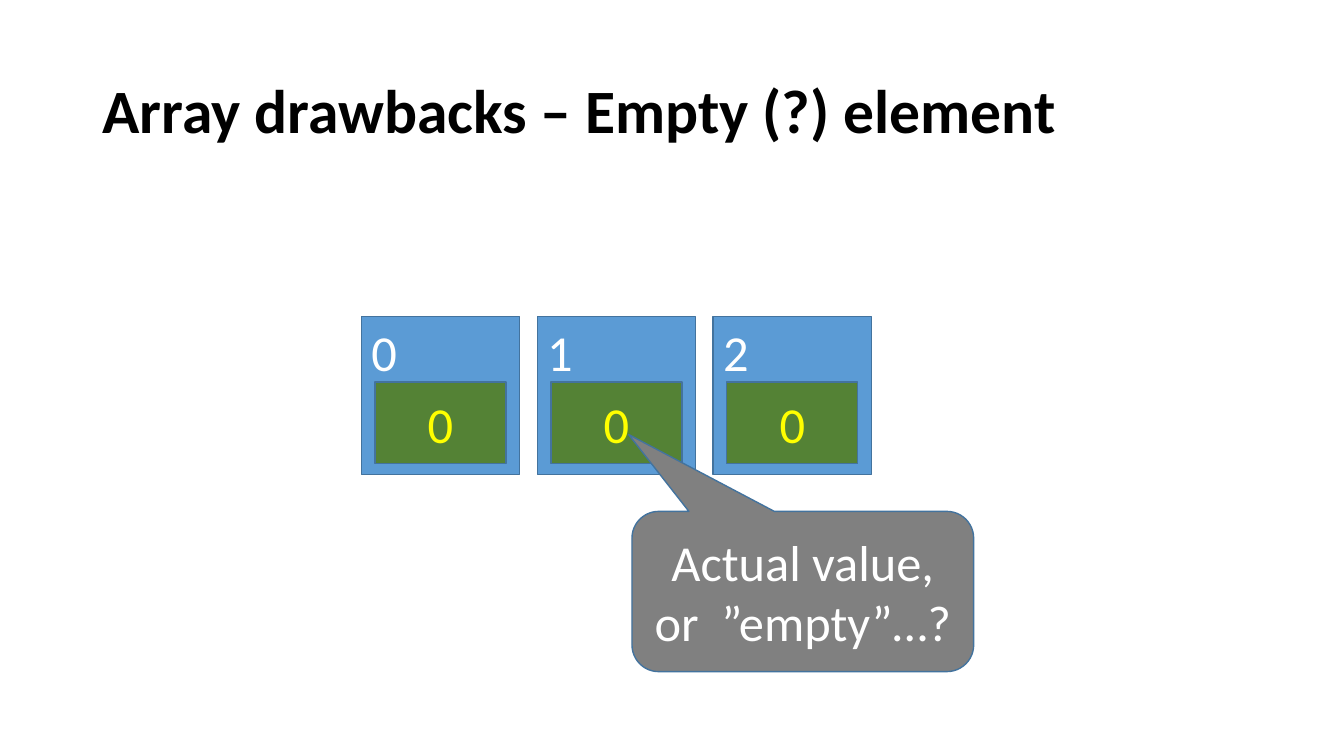
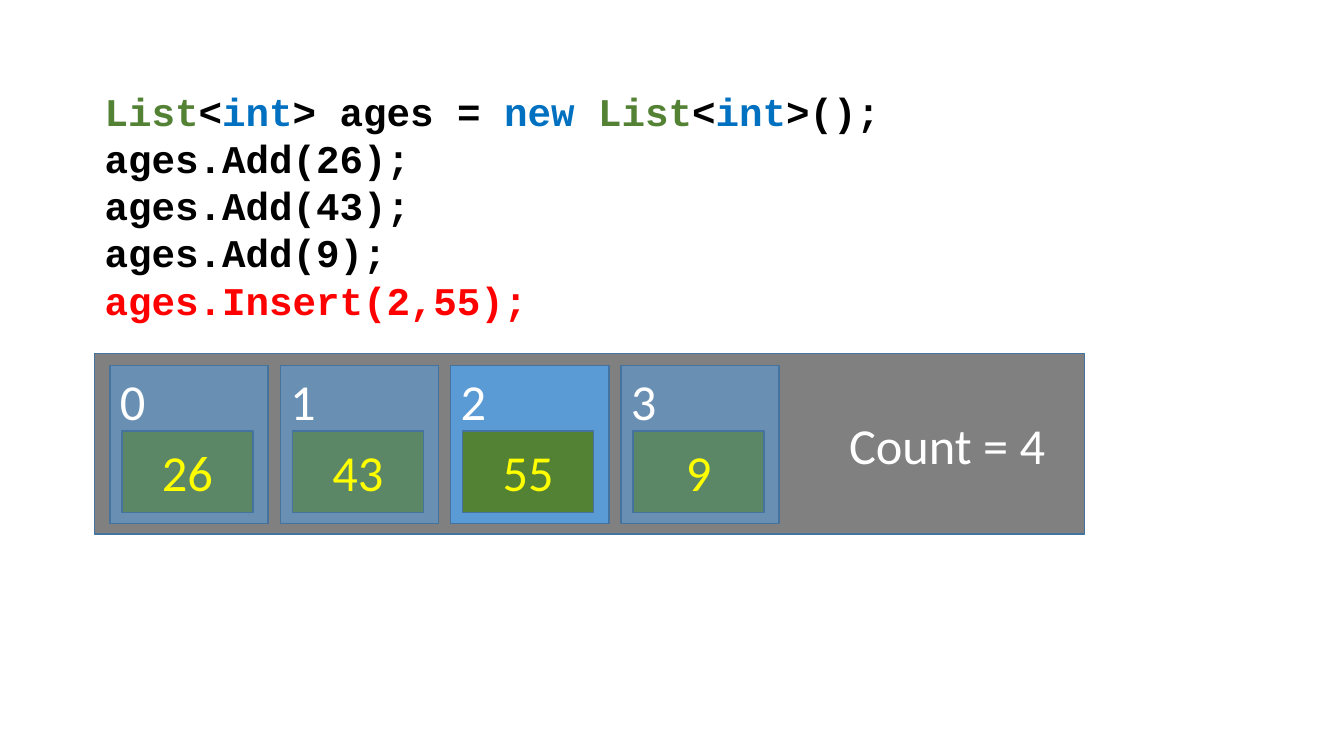
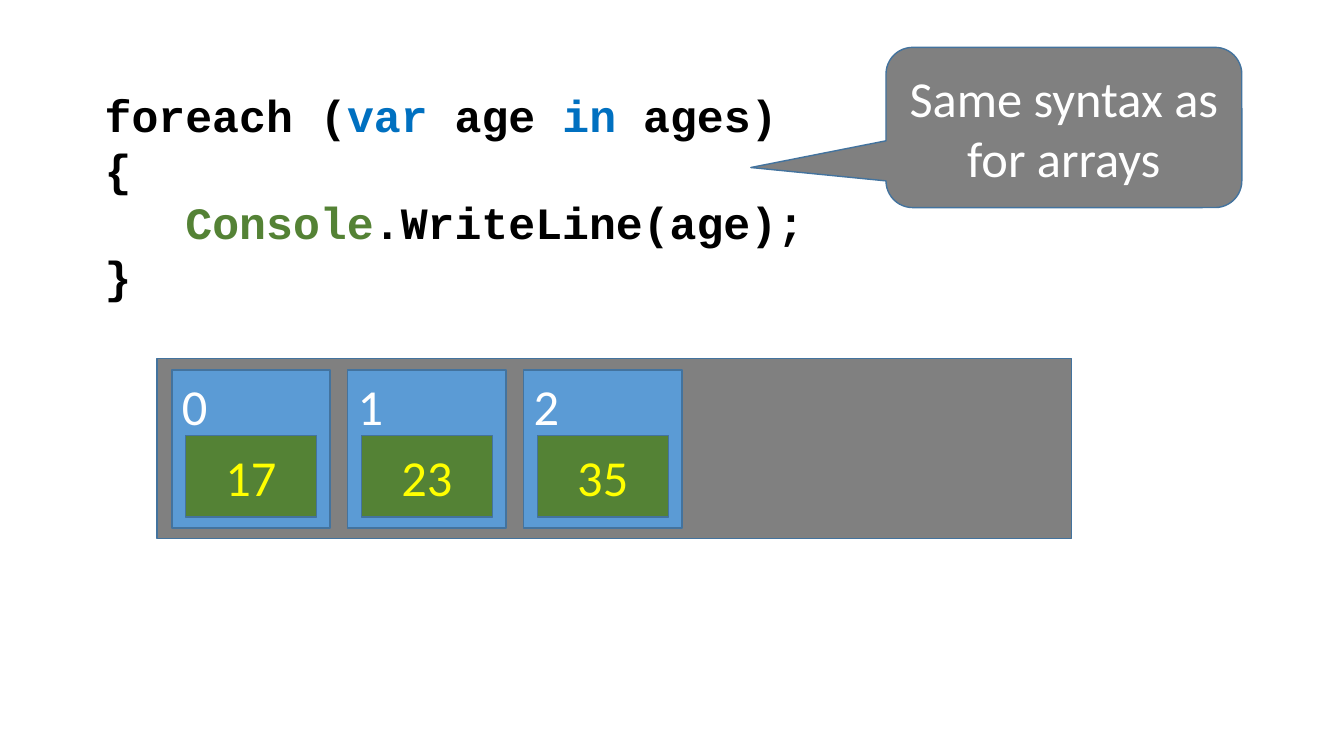
"""Build three slides that compare array elements with list elements."""
from dataclasses import dataclass

from lxml.etree import SubElement
from pptx import Presentation
from pptx.dml.color import RGBColor
from pptx.enum.shapes import MSO_SHAPE
from pptx.enum.text import MSO_ANCHOR, MSO_AUTO_SIZE, PP_ALIGN
from pptx.oxml.ns import qn
from pptx.util import Inches, Pt


@dataclass(frozen=True)
class Theme:
    black: str = "000000"
    white: str = "FFFFFF"
    gray: str = "808080"
    blue: str = "5B9BD5"
    outline: str = "43739E"
    green: str = "548235"
    yellow: str = "FFFF00"
    red: str = "FF0000"
    keyword: str = "0070C0"
    body_font: str = "Calibri"
    code_font: str = "Courier New"
    title_size: int = 44
    label_size: int = 36
    code_size: int = 28
    large_code_size: int = 32
    faded_percent: int = 60


theme = Theme()
presentation = Presentation()
presentation.slide_width = Inches(13.33)
presentation.slide_height = Inches(7.5)
GRID_COLUMNS = 160
unit = presentation.slide_width / GRID_COLUMNS

CELL_SIDE = 18.84
VALUE_WIDTH, VALUE_HEIGHT, VALUE_DROP = 15.6, 9.72, 7.82
PANEL_HEIGHT = 21.48
CALLOUT_HEIGHT = 19.08
CODE_LEFT, CODE_TOP, CODE_WIDTH = 11.28, 9.84, 120.84


def add_block(slide, kind, box, fill, text="", color=theme.white,
              align=PP_ALIGN.CENTER, anchor=MSO_ANCHOR.MIDDLE, opacity=100):
    shape = slide.shapes.add_shape(kind, *[round(length * unit) for length in box])
    shape.shadow.inherit = False
    shape.fill.solid()
    shape.fill.fore_color.rgb = RGBColor.from_string(fill)
    if opacity < 100:
        fill_color = shape.element.spPr.find(qn("a:solidFill"))[0]
        SubElement(fill_color, qn("a:alpha"), val=str(opacity * 1000))
    shape.line.color.rgb = RGBColor.from_string(theme.outline)
    shape.line.width = Pt(1)
    frame = shape.text_frame
    frame.word_wrap = True
    frame.vertical_anchor = anchor
    frame.text = text
    paragraph = frame.paragraphs[0]
    paragraph.alignment = align
    for run in paragraph.runs:
        run.font.name = theme.body_font
        run.font.size = Pt(theme.label_size)
        run.font.color.rgb = RGBColor.from_string(color)
    return shape


def add_bold_text(slide, box, lines, font, size):
    shape = slide.shapes.add_textbox(*[round(length * unit) for length in box])
    frame = shape.text_frame
    frame.word_wrap = True
    for index, line in enumerate(lines):
        paragraph = frame.add_paragraph() if index else frame.paragraphs[0]
        for text, color in line:
            run = paragraph.add_run()
            run.text = text
            run.font.name = font
            run.font.size = Pt(size)
            run.font.bold = True
            run.font.color.rgb = RGBColor.from_string(color)
    return frame


array_slide, insert_slide, loop_slide = [
    presentation.slides.add_slide(presentation.slide_layouts[6]) for _ in range(3)
]

title = add_bold_text(
    array_slide, (11.04, 4.8, 138, 17.4),
    [[("Array drawbacks – Empty (?) element", theme.black)]],
    theme.body_font, theme.title_size)
title.vertical_anchor = MSO_ANCHOR.MIDDLE
title.paragraphs[0].line_spacing = 0.9

count_panel = add_block(
    insert_slide, MSO_SHAPE.RECTANGLE, (11.28, 42.12, 117.84, PANEL_HEIGHT),
    theme.gray, "Count = 4", align=PP_ALIGN.RIGHT)
count_panel.text_frame.margin_right = round(4.68 * unit)
add_block(loop_slide, MSO_SHAPE.RECTANGLE, (18.72, 42.66, 108.84, PANEL_HEIGHT), theme.gray)

insert_code = [
    [("List", theme.green), ("<", theme.black), ("int", theme.keyword),
     ("> ages = ", theme.black), ("new ", theme.keyword), ("List", theme.green),
     ("<", theme.black), ("int", theme.keyword), (">();", theme.black)],
    [("ages.Add(26);", theme.black)],
    [("ages.Add(43);", theme.black)],
    [("ages.Add(9);", theme.black)],
    [("ages.Insert(2,55);", theme.red)],
]
loop_code = [
    [("foreach (", theme.black), ("var", theme.keyword), (" age ", theme.black),
     ("in", theme.keyword), (" ages)", theme.black)],
    [("{", theme.black)],
    [("   ", theme.black), ("Console", theme.green), (".WriteLine(age);", theme.black)],
    [("}", theme.black)],
]
for slide, lines, height, size in (
    (insert_slide, insert_code, 29.52, theme.code_size),
    (loop_slide, loop_code, 27.12, theme.large_code_size),
):
    code = add_bold_text(slide, (CODE_LEFT, CODE_TOP, CODE_WIDTH, height),
                         lines, theme.code_font, size)
    code.auto_size = MSO_AUTO_SIZE.SHAPE_TO_FIT_TEXT

for slide, left, top, pitch, inset, values, faded in (
    (array_slide, 43.02, 37.68, 20.94, 1.62, (0, 0, 0), ()),
    (insert_slide, 13.08, 43.5, 20.28, 1.44, (26, 43, 55, 9), (0, 1, 3)),
    (loop_slide, 20.46, 44.04, 20.94, 1.62, (17, 23, 35), ()),
):
    for index, value in enumerate(values):
        cell_left = left + index * pitch
        opacity = theme.faded_percent if index in faded else 100
        add_block(slide, MSO_SHAPE.RECTANGLE, (cell_left, top, CELL_SIDE, CELL_SIDE),
                  theme.blue, str(index), align=PP_ALIGN.LEFT,
                  anchor=MSO_ANCHOR.TOP, opacity=opacity)
        add_block(slide, MSO_SHAPE.RECTANGLE,
                  (cell_left + inset, top + VALUE_DROP, VALUE_WIDTH, VALUE_HEIGHT),
                  theme.green, str(value), theme.yellow, opacity=opacity)

for slide, left, top, width, text, pointer in (
    (array_slide, 75.24, 60.9, 40.68, "Actual value, or  ”empty”…?", (-0.51, -0.98)),
    (loop_slide, 105.48, 5.64, 42.36, "Same syntax as for arrays", (-0.88, 0.25)),
):
    callout = add_block(slide, MSO_SHAPE.ROUNDED_RECTANGULAR_CALLOUT,
                        (left, top, width, CALLOUT_HEIGHT), theme.gray, text)
    callout.adjustments[0], callout.adjustments[1] = pointer

presentation.save("out.pptx")
